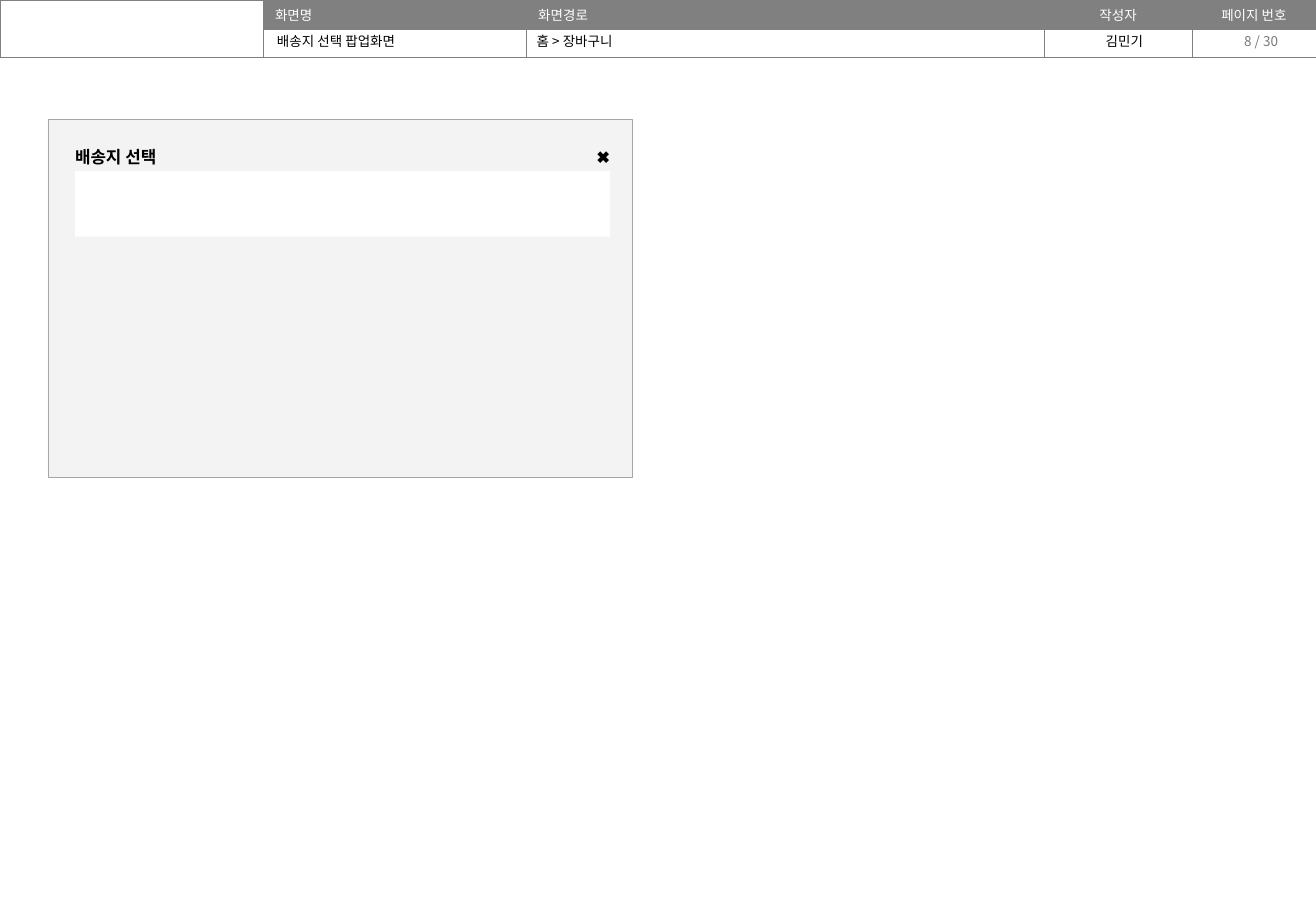
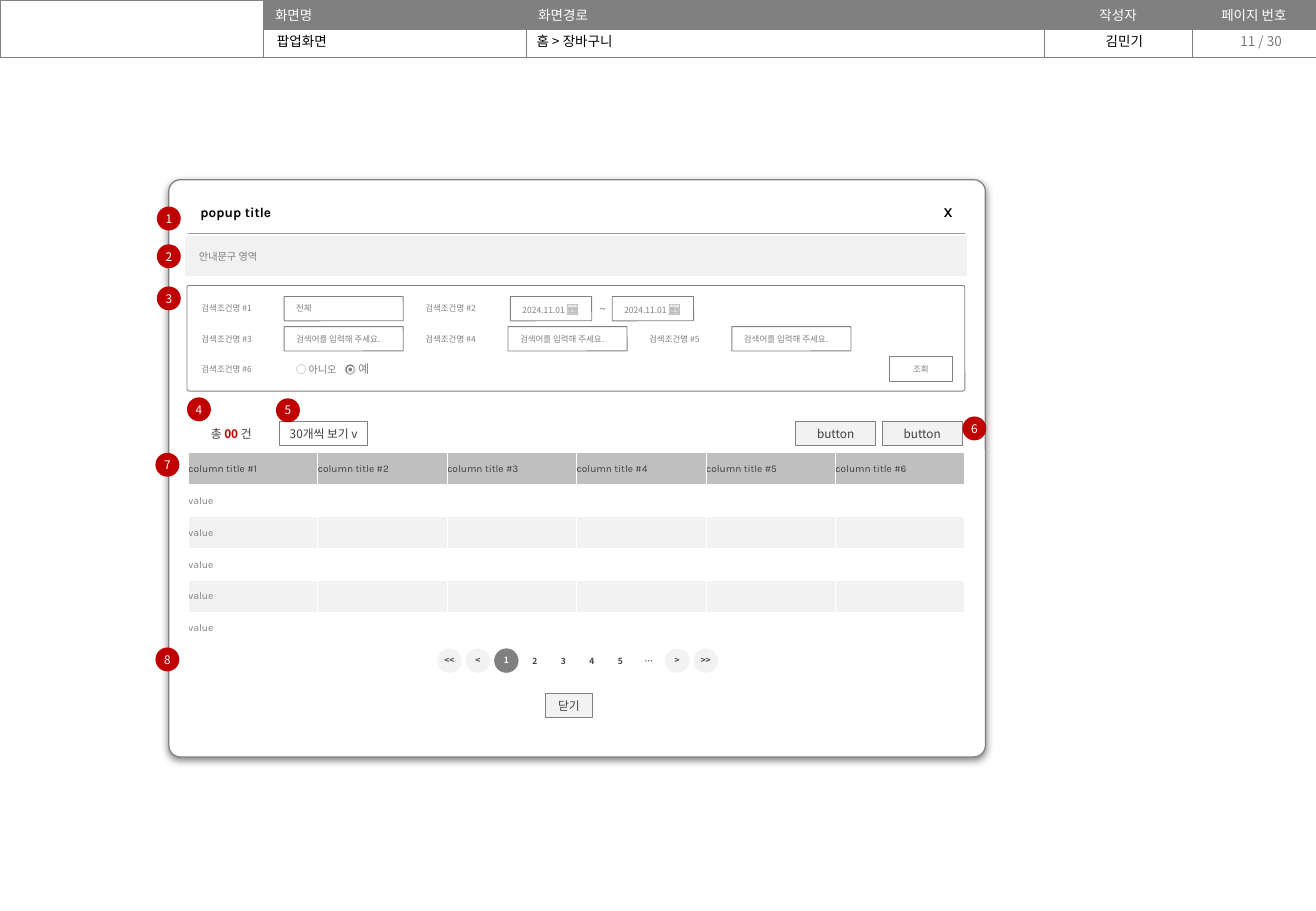
from lxml import etree
from pptx import Presentation
from pptx.dml.color import RGBColor
from pptx.enum.shapes import MSO_SHAPE
from pptx.enum.text import MSO_ANCHOR, MSO_AUTO_SIZE, PP_ALIGN
from pptx.oxml.ns import qn
from pptx.util import Cm, Pt

ROUND, OVAL = MSO_SHAPE.ROUNDED_RECTANGLE, MSO_SHAPE.OVAL
LEFT, CENTER, RIGHT = PP_ALIGN.LEFT, PP_ALIGN.CENTER, PP_ALIGN.RIGHT
MIDDLE = MSO_ANCHOR.MIDDLE
NO_FIT = MSO_AUTO_SIZE.NONE
KOREAN, LATIN = "Noto Sans CJK KR", "Karla"
COLORS = {
    "black": "000000", "white": "FFFFFF", "gray": "808080", "number": "797979",
    "dark": "404040", "panel": "F3F3F3", "edge": "A6A6A6", "pale": "F2F2F2",
    "notice": "F1F1F1", "rule": "999999", "head": "BFBFBF", "red": "C00000",
}
NO_INSETS = (0, 0, 0, 0)
INDENT = (0.25, 0.05, 0, 0.05)
HEADER_TOP, HEADER_ROW = 0.56, 0.6
CONTROL = 0.51


def rgb(name):
    return RGBColor.from_string(COLORS[name])


class Wireframe:
    """Holds the shared style and the slide being drawn."""

    def __init__(self):
        self.deck = Presentation()
        self.deck.slide_width, self.deck.slide_height = Cm(27.51), Cm(19.05)
        self.page = None

    def start(self, title, number):
        self.page = self.deck.slides.add_slide(self.deck.slide_layouts[5])
        heads = ["", "화면명", "화면경로", "작성자", "페이지 번호"]
        table = self.table(0, 0, [5.5, 5.5, 10.83, 3.09, 2.59], [HEADER_ROW] * 2)
        for row in range(2):
            for column, head in enumerate(heads):
                filled = row == 0 and column > 0
                self.cell(table.cell(row, column), head if row == 0 else "",
                          fill="gray" if filled else None, border=("gray", 0.25),
                          size=8, color="white", align=CENTER if column > 2 else LEFT,
                          insets=(0.25, 0.05, 0.25, 0.05))
        table.cell(0, 0).merge(table.cell(1, 0))
        box = self.page.shapes.title
        box.left, box.top, box.width, box.height = map(Cm, (5.54, HEADER_TOP, 5.46, 0.61))
        box.text_frame.auto_size = NO_FIT
        self.set_text(box.text_frame, box.text_frame, title, size=8, color="black")
        self.label(10.97, HEADER_TOP, 5.46, 0.61, "홈 > 장바구니", size=8, color="black")
        self.label(21.82, HEADER_TOP, 3.12, 0.61, "김민기", size=8, color="black",
                   align=CENTER)
        self.label(24.97, HEADER_TOP, 2.54, 0.61, f"{number} / 30", size=8,
                   color="number", align=CENTER)

    def set_text(self, holder, frame, text, size=7, color="dark", bold=False, align=LEFT,
                 font=KOREAN, insets=INDENT, tab=None):
        sides = ("margin_left", "margin_top", "margin_right", "margin_bottom")
        settings = dict(zip(sides, map(Cm, insets)), vertical_anchor=MIDDLE)
        for name, value in settings.items():
            setattr(holder, name, value)
        frame.word_wrap = True
        para = frame.paragraphs[0]
        para.alignment = align
        if tab:
            stops = etree.SubElement(para._p.get_or_add_pPr(), qn("a:tabLst"))
            etree.SubElement(stops, qn("a:tab"), pos=str(Cm(tab)), algn="l")
        if not text:
            para._p.get_or_add_endParaRPr().set("sz", str(size * 100))
            return
        spans = [(text, {})] if isinstance(text, str) else text
        for words, change in spans:
            look = {"size": size, "color": color, "bold": bold, **change}
            span = para.add_run()
            span.text = words
            values = {"name": font, "size": Pt(look["size"]), "bold": look["bold"]}
            for name, value in values.items():
                setattr(span.font, name, value)
            span.font.color.rgb = rgb(look["color"])
            etree.SubElement(span.font._element, qn("a:ea"), typeface=font)

    def label(self, left, top, width, height, text, **look):
        box = self.page.shapes.add_textbox(*map(Cm, (left, top, width, height)))
        self.set_text(box.text_frame, box.text_frame, text, **look)

    def box(self, left, top, width, height, text="", fill=None, line=None, weight=0.5,
            shape=ROUND, corner=0, group=None, **look):
        owner = group.shapes if group else self.page.shapes
        box = owner.add_shape(shape, *map(Cm, (left, top, width, height)))
        box.shadow.inherit = False
        if shape == ROUND:
            box.adjustments[0] = corner
        if fill:
            box.fill.solid()
            box.fill.fore_color.rgb = rgb(fill)
        else:
            box.fill.background()
        if line:
            box.line.color.rgb = rgb(line)
            box.line.width = Pt(weight)
        else:
            box.line.fill.background()
        if text:
            self.set_text(box.text_frame, box.text_frame, text, **look)
        return box

    def cast_shadow(self, box):
        effects = box._element.spPr.find(qn("a:effectLst"))
        shadow = etree.SubElement(effects, qn("a:outerShdw"), blurRad=str(Pt(4.5)),
                                  dist=str(Pt(1.5)), dir="5400000", rotWithShape="0")
        color = etree.SubElement(shadow, qn("a:srgbClr"), val=COLORS["black"])
        etree.SubElement(color, qn("a:alpha"), val="49000")

    def badge(self, left, top, number):
        self.box(left, top, 0.5, 0.5, str(number), fill="red", shape=OVAL,
                 color="white", align=CENTER, insets=NO_INSETS)

    def button(self, left, top, width, text, fill="pale", line="gray", size=7, color="dark"):
        self.box(left, top, width, CONTROL, text, fill=fill, line=line, size=size,
                 color=color, align=CENTER, insets=NO_INSETS)

    def field(self, left, top, width, text, line="gray", **look):
        self.box(left, top, width, CONTROL, text, fill="white", line=line, corner=0.02,
                 **{"size": 5, "color": "gray", **look})

    def table(self, left, top, widths, heights):
        frame = self.page.shapes.add_table(
            len(heights), len(widths), *map(Cm, (left, top, sum(widths), sum(heights))))
        table = frame.table
        table.first_row = table.horz_banding = False
        for column, width in zip(table.columns, widths):
            column.width = Cm(width)
        for row, height in zip(table.rows, heights):
            row.height = Cm(height)
        return table

    def cell(self, cell, text, fill=None, border=None, sides="LRTB", **look):
        if fill:
            cell.fill.solid()
            cell.fill.fore_color.rgb = rgb(fill)
        else:
            cell.fill.background()
        self.set_text(cell, cell.text_frame, text, **look)
        color, weight = border
        properties = cell._tc.get_or_add_tcPr()
        for index, side in enumerate("LRTB"):
            line = etree.Element(qn(f"a:ln{side}"), w=str(Pt(weight)))
            if side in sides:
                solid = etree.SubElement(line, qn("a:solidFill"))
                etree.SubElement(solid, qn("a:srgbClr"), val=COLORS[color])
            else:
                etree.SubElement(line, qn("a:noFill"))
            properties.insert(index, line)


def address_page(frame):
    frame.start("배송지 선택 팝업화면", 8)
    frame.box(1, 2.49, 12.22, 7.49, fill="panel", line="edge", weight=0.25)
    heading = {"size": 10, "color": "black", "insets": NO_INSETS}
    frame.label(1.57, 2.9, 10, 0.76, "배송지 선택", bold=True, **heading)
    frame.label(11.58, 2.9, 1.17, 0.76, "✖", align=RIGHT, **heading)
    frame.box(1.57, 3.58, 11.18, 1.37, fill="white")


def search_panel(frame):
    frame.box(3.91, 5.97, 16.26, 2.21, fill="white", line="gray", corner=0.02)
    columns = [3.96 + 4.68 * index for index in range(3)]
    rows = [6.2 + 0.63 * index for index in range(3)]
    places = [(0, 0), (1, 0), (0, 1), (1, 1), (2, 1), (0, 2)]
    for number, (column, row) in enumerate(places, 1):
        frame.field(columns[column], rows[row], 1.98, f"검색조건명 #{number}", line=None)
    inputs = [column + 1.98 for column in columns]
    frame.field(inputs[0], rows[0], 2.49, "전체")
    for left in inputs:
        frame.field(left, rows[1], 2.49, "검색어를 입력해 주세요.")
    for left in (10.67, 12.8):
        frame.field(left, rows[0], 1.7, [("2024.11.01 ", {}), ("📅", {"size": 7})])
    frame.label(12.4, rows[0], 0.4, CONTROL, "~", color="gray", align=CENTER,
                insets=NO_INSETS)
    frame.field(inputs[0], rows[2], 2.49, [("◯ 아니오\t", {}), ("🔘 예", {"size": 7})],
                line=None, size=6, tab=1.02)
    frame.button(18.59, rows[2], 1.32, "조회", fill="white", size=5, color="gray")


def result_table(frame):
    table = frame.table(3.94, 9.47, [16.23 / 6] * 6, [4.01 / 6] * 6)
    for row in range(6):
        fill = "head" if row == 0 else "white" if row % 2 else "pale"
        for column in range(6):
            value = "value" if column == 0 else ""
            text = f"column title #{column + 1}" if row == 0 else value
            frame.cell(table.cell(row, column), text, fill=fill, border=("white", 0.5),
                       size=6, color="gray" if row else "dark", font=LATIN,
                       insets=NO_INSETS)


def page_links(frame):
    group = frame.page.shapes.add_group_shape()
    marks = ["<<", "<", "1", "2", "3", "4", "5", "⋯", ">", ">>"]
    step = 5.36 / (len(marks) - 1)
    for index, mark in enumerate(marks):
        arrow = mark[0] in "<>"
        current = mark == "1"
        frame.box(9.14 + step * index, 13.56, CONTROL, CONTROL, mark, group=group,
                  fill="gray" if current else "pale" if arrow else None,
                  corner=0.5 if current or arrow else 0, size=5, bold=True,
                  color="white" if current else "dark", align=CENTER, insets=NO_INSETS)


def popup_page(frame):
    frame.start("팝업화면", 11)
    popup = frame.box(3.53, 3.76, 17.07, 12.07, fill="white", line="gray", weight=0.75,
                      corner=0.02)
    frame.cast_shadow(popup)
    table = frame.table(3.94, 4.04, [8.12, 8.11], [0.84])
    for column, (text, align) in enumerate([("popup title", LEFT), ("X", RIGHT)]):
        frame.cell(table.cell(0, column), text, border=("rule", 0.75), sides="B", size=8,
                   color="black", bold=True, align=align, font=LATIN, insets=(0.25,) * 4)
    frame.box(3.91, 4.98, 16.26, 0.76, "안내문구 영역", fill="notice", line="notice",
              weight=2, size=6, color="gray")
    search_panel(frame)
    total = [("총 ", {}), ("00", {"color": "red", "bold": True}), (" 건", {})]
    frame.button(3.91, 8.81, 1.85, total, fill="white", line=None)
    frame.button(5.84, 8.81, 1.85, "30개씩 보기 v", fill="white")
    for left in (16.63, 18.44):
        frame.button(left, 8.81, 1.68, "button")
    result_table(frame)
    page_links(frame)
    frame.button(11.4, 14.5, 0.99, "닫기")
    badges = [(3.28, 4.32), (3.28, 5.11), (3.28, 5.99), (3.91, 8.31),
              (5.77, 8.33), (20.12, 8.71), (3.25, 9.47), (3.25, 13.54)]
    for number, (left, top) in enumerate(badges, 1):
        frame.badge(left, top, number)


def main():
    frame = Wireframe()
    address_page(frame)
    popup_page(frame)
    frame.deck.save("out.pptx")


if __name__ == "__main__":
    main()
